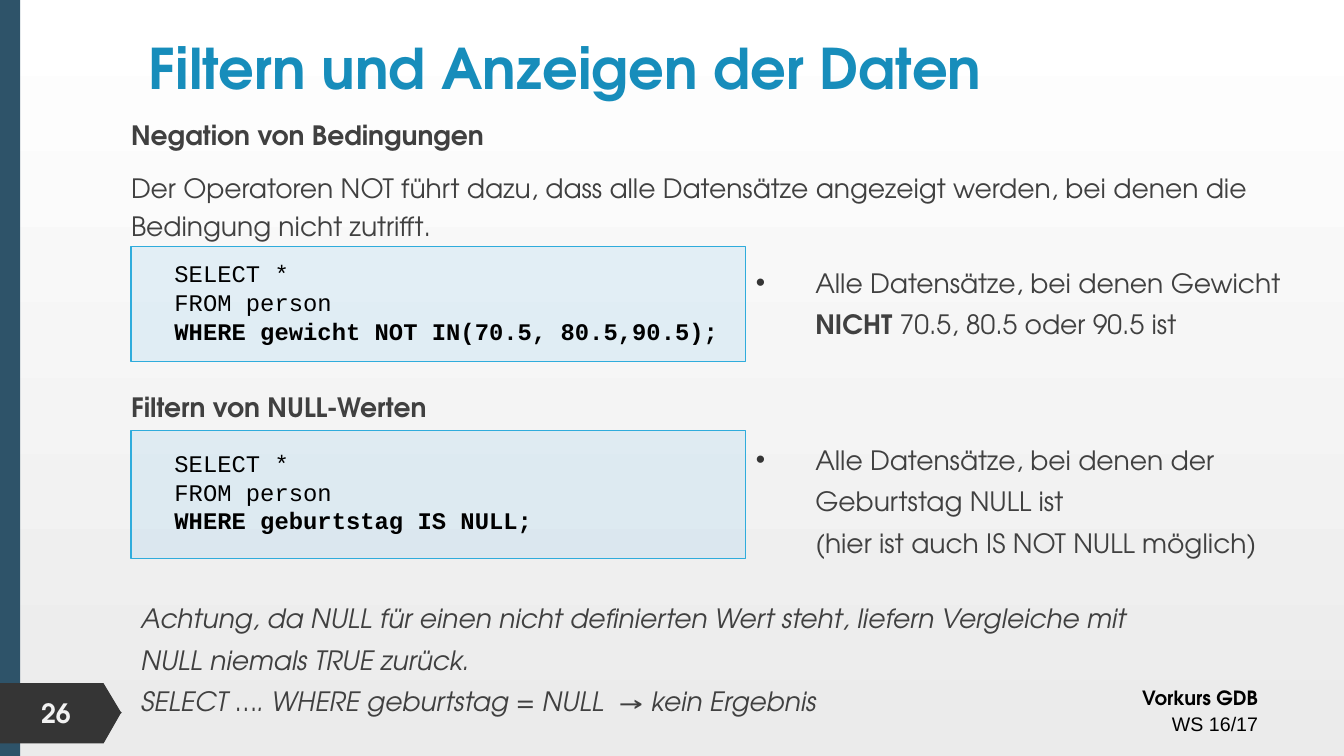
from dataclasses import dataclass

from lxml import etree
from pptx import Presentation
from pptx.dml.color import RGBColor
from pptx.enum import shapes, text
from pptx.oxml import ns
from pptx.util import Pt


@dataclass(frozen=True)
class Theme:
    sans: str = "TeX Gyre Adventor"
    plain: str = "Arial"
    mono: str = "Courier New"
    title_size: float = 40
    body_size: float = 19
    code_size: float = 17
    footer_size: float = 14
    title: RGBColor = RGBColor(0x17, 0x8D, 0xBB)
    body: RGBColor = RGBColor(0x40, 0x40, 0x40)
    black: RGBColor = RGBColor(0, 0, 0)
    dark: RGBColor = RGBColor(0x35, 0x35, 0x35)
    number: RGBColor = RGBColor(0xF2, 0xF2, 0xF2)
    bar: RGBColor = RGBColor(0x2E, 0x53, 0x69)
    code_fill: RGBColor = RGBColor(0xA8, 0xD5, 0xF0)
    code_line: RGBColor = RGBColor(0x2F, 0xAC, 0xDC)
    top: RGBColor = RGBColor(0xFF, 0xFF, 0xFF)
    bottom: RGBColor = RGBColor(0xEB, 0xEB, 0xEB)


theme = Theme()


def style(paragraph, size, color, face=theme.sans, bold=False, italic=False):
    font = paragraph.font
    font.name, font.size, font.color.rgb = face, Pt(size), color
    font.bold, font.italic = bold, italic


def set_list_format(paragraph, indent, bullet=None):
    """Give the paragraph a hanging bullet, or none at all."""
    properties = paragraph._p.get_or_add_pPr()
    properties.set("marL", str(Pt(indent)))
    properties.set("indent", str(-Pt(indent)))
    if bullet:
        color = etree.SubElement(properties, ns.qn("a:buClr"))
        etree.SubElement(color, ns.qn("a:srgbClr"), val=str(theme.dark))
        etree.SubElement(properties, ns.qn("a:buFont"), typeface=theme.plain)
        etree.SubElement(properties, ns.qn("a:buChar"), char=bullet)
    else:
        etree.SubElement(properties, ns.qn("a:buNone"))


prs = Presentation()
prs.slide_width, prs.slide_height = Pt(960), Pt(540)
slide = prs.slides.add_slide(prs.slide_layouts[1])

# Background, side bar and page marker
background = slide.background.fill
background.gradient()
background.gradient_angle = 270
for stop, color in zip(background.gradient_stops, (theme.top, theme.bottom)):
    stop.color.rgb = color

bar = slide.shapes.add_shape(shapes.MSO_SHAPE.RECTANGLE, 0, 0, Pt(14.4), Pt(540))
outline = slide.shapes.build_freeform(0, 487.5, scale=Pt(1))
outline.add_line_segments(
    [(72.7, 487.5), (74.2, 488.2), (86.4, 508.3), (86.8, 509.4),
     (86.4, 510.5), (74.2, 530.6), (72.7, 531.4), (0, 531.4)])
marker = outline.convert_to_shape()
for decoration, color in ((bar, theme.bar), (marker, theme.dark)):
    decoration.shadow.inherit = False
    decoration.fill.solid()
    decoration.fill.fore_color.rgb = color
    decoration.line.fill.background()

page_number = slide.shapes.add_textbox(Pt(22.3), Pt(494), Pt(50.4), Pt(30.2)).text_frame
page_number.word_wrap = True
page_number.text = "26"
style(page_number.paragraphs[0], theme.body_size, theme.number, bold=True)

footer = slide.shapes.add_textbox(Pt(531.4), Pt(483.8), Pt(374.4), Pt(46)).text_frame
footer.word_wrap = True
footer.text = "Vorkurs GDB\nWS 16/17"
course, term = footer.paragraphs
for line in (course, term):
    line.alignment = text.PP_ALIGN.RIGHT
    line.line_spacing = 1.14
style(course, theme.footer_size, theme.black, bold=True)
style(term, theme.footer_size, theme.black, theme.plain)

# Title and main text
title = slide.shapes.title
title.left, title.top, title.width, title.height = Pt(86.4), Pt(18.7), Pt(645.8), Pt(58.3)
title.text_frame.text = "Filtern und Anzeigen der Daten "
title.text_frame.auto_size = text.MSO_AUTO_SIZE.NONE
title.text_frame.vertical_anchor = text.MSO_ANCHOR.MIDDLE
title.text_frame.paragraphs[0].alignment = text.PP_ALIGN.CENTER
style(title.text_frame.paragraphs[0], theme.title_size, theme.title, bold=True)

body = slide.placeholders[1]
body.left, body.top, body.width, body.height = Pt(86.4), Pt(77), Pt(819.4), Pt(375.8)
body.text_frame.auto_size = text.MSO_AUTO_SIZE.NONE
body.text_frame.text = (
    "Negation von Bedingungen\n"
    "Der Operatoren NOT führt dazu, dass alle Datensätze angezeigt werden, "
    "bei denen die Bedingung nicht zutrifft.\n"
    "Filtern von NULL-Werten")
for paragraph, gap, bold in zip(body.text_frame.paragraphs, (0, 10, 102), (True, False, True)):
    paragraph.line_spacing = 1.2
    paragraph.space_before = Pt(gap)
    set_list_format(paragraph, 0)
    style(paragraph, theme.body_size, theme.body, bold=bold)

# Queries, each with its explanation on the right
queries = [
    (176.4, 82.1, "WHERE gewicht NOT IN(70.5, 80.5,90.5);",
     180, 425.5, [("Alle Datensätze, bei denen Gewicht ", False), ("NICHT ", True),
                  ("70.5, 80.5 oder 90.5 ist", False)]),
    (307.4, 91.4, "WHERE geburtstag IS NULL;",
     306.7, 398.2, [("Alle Datensätze, bei denen der Geburtstag NULL ist ", False), ("\n", False),
                    ("(hier ist auch IS NOT NULL möglich)", False)]),
]
for code_top, code_height, condition, meaning_top, meaning_width, parts in queries:
    code = slide.shapes.add_shape(
        shapes.MSO_SHAPE.RECTANGLE, Pt(93.6), Pt(code_top), Pt(439.2), Pt(code_height))
    code.shadow.inherit = False
    code.fill.solid()
    code.fill.fore_color.rgb = theme.code_fill
    tint = code.fill._xPr.find(".//" + ns.qn("a:srgbClr"))
    etree.SubElement(tint, ns.qn("a:alpha"), val="27000")
    code.line.color.rgb = theme.code_line
    code.line.width = Pt(0.75)
    frame = code.text_frame
    frame.vertical_anchor = text.MSO_ANCHOR.MIDDLE
    frame.margin_left, frame.margin_top = Pt(31), 0
    frame.text = f"SELECT *\nFROM person\n{condition}"
    for line in frame.paragraphs:
        line.alignment = text.PP_ALIGN.LEFT
        style(line, theme.code_size, theme.black, theme.mono, bold=line.text == condition)

    meaning = slide.shapes.add_textbox(
        Pt(532.8), Pt(meaning_top), Pt(meaning_width), Pt(113.8)).text_frame
    meaning.word_wrap = True
    paragraph = meaning.paragraphs[0]
    paragraph.line_spacing = 1.3
    set_list_format(paragraph, 42.5, "•")
    style(paragraph, theme.body_size, theme.body)
    for part, bold in parts:
        if part == "\n":
            paragraph.add_line_break()
            continue
        run = paragraph.add_run()
        run.text = part
        if bold:
            run.font.bold = True

# Closing remark
remark = slide.shapes.add_textbox(Pt(93.6), Pt(419.8), Pt(743), Pt(113.8)).text_frame
remark.word_wrap = True
remark.text = (
    "Achtung, da NULL für einen nicht definierten Wert steht, liefern Vergleiche mit "
    "NULL niemals TRUE zurück. \vSELECT …. WHERE geburtstag = NULL  → kein Ergebnis")
remark.paragraphs[0].line_spacing = 1.3
style(remark.paragraphs[0], theme.body_size, theme.body, italic=True)

prs.save("out.pptx")
